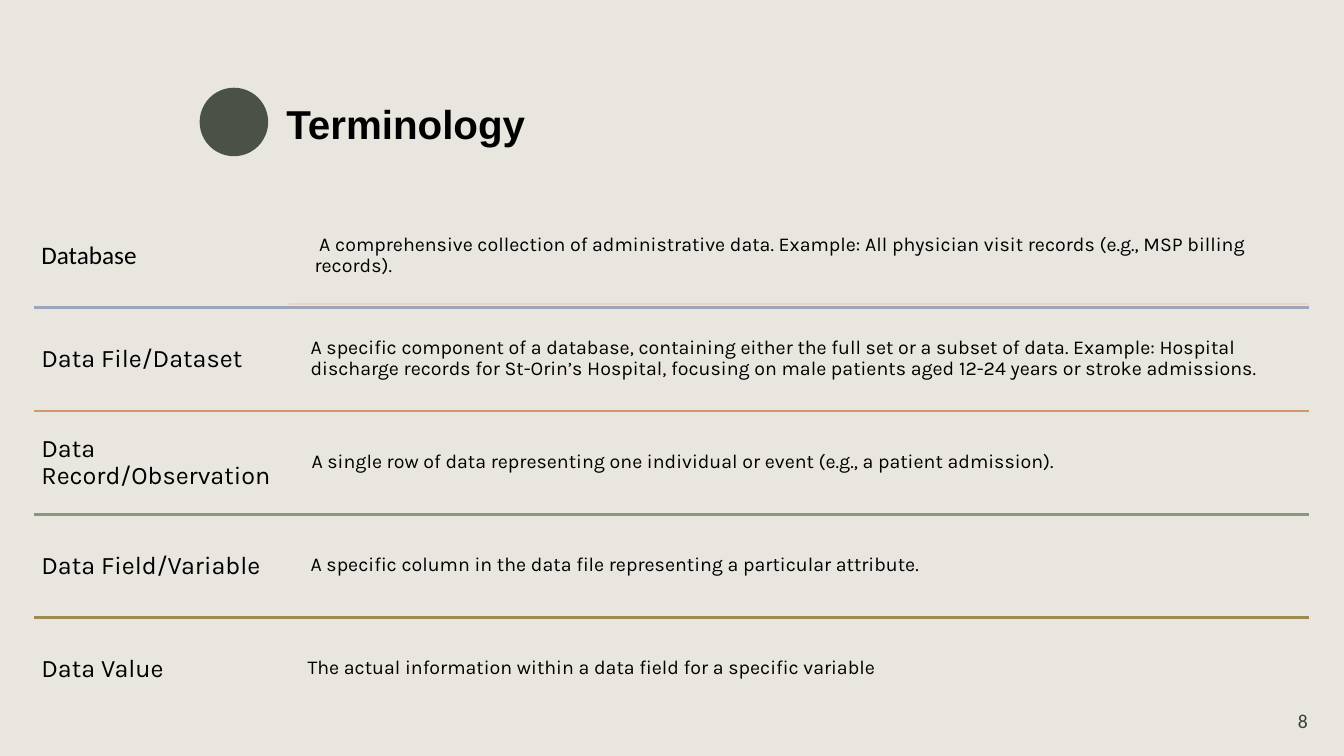
from collections import namedtuple

from lxml.etree import SubElement
from pptx import Presentation
from pptx.dml.color import RGBColor
from pptx.enum.shapes import MSO_CONNECTOR as Connector, MSO_SHAPE as Preset
from pptx.enum.text import MSO_ANCHOR as Anchor, MSO_AUTO_SIZE as AutoSize, PP_ALIGN as Align
from pptx.oxml.ns import qn
from pptx.util import Inches, Pt

Box = namedtuple("Box", "left top width height")
Term = namedtuple("Term", "name meaning font offset rule")

TERMS = [
    Term("Database",
         " A comprehensive collection of administrative data. Example: All physician visit "
         "records (e.g., MSP billing records).", "Calibri", 2.72, "9BA6BB"),
    Term("Data File/Dataset",
         "A specific component of a database, containing either the full set or a subset of data. "
         "Example: Hospital discharge records for St-Orin’s Hospital, focusing on male patients "
         "aged 12-24 years or stroke admissions.", "Karla", 2.68, "D5966B"),
    Term("Data Record/Observation",
         "A single row of data representing one individual or event (e.g., a patient admission).",
         "Karla", 2.69, "869880"),
    Term("Data Field/Variable",
         "A specific column in the data file representing a particular attribute.",
         "Karla", 2.68, "9E8B50"),
    Term("Data Value",
         "The actual information within a data field for a specific variable",
         "Karla", 2.65, None),
]


def color(value):
    """Turn a hex string into a colour."""
    return RGBColor.from_string(value)


def place(box):
    """Turn a box in inches into lengths."""
    return [Inches(length) for length in box]


def write(shape, text, size, font="Karla", ink="000000", bold=False, align=Align.LEFT,
          anchor=Anchor.MIDDLE, inset=(0.1, 0.05), spacing=1.0):
    """Put one formatted paragraph into a shape."""
    frame = shape.text_frame
    frame.word_wrap = True
    frame.auto_size = AutoSize.NONE
    frame.vertical_anchor = anchor
    frame.margin_left = frame.margin_right = Inches(inset[0])
    frame.margin_top = frame.margin_bottom = Inches(inset[1])
    para = frame.paragraphs[0]
    para.alignment = align
    para.line_spacing = spacing
    span = para.add_run()
    span.text = text
    span.font.name = font
    span.font.size = Pt(size)
    span.font.bold = bold
    span.font.color.rgb = color(ink)


def add_rule(page, left, right, y, ink, weight=2):
    """Draw a horizontal rule."""
    rule = page.shapes.add_connector(
        Connector.STRAIGHT, Inches(left), Inches(y), Inches(right), Inches(y))
    rule.line.color.rgb = color(ink)
    rule.line.width = Pt(weight)
    SubElement(rule.element.spPr, qn("a:effectLst"))


def add_heading(page, box):
    """Place the round marker and the title beside it."""
    marker = page.shapes.add_shape(
        Preset.OVAL, *place((box.left, box.top, 0.68, 0.68)))
    marker.shadow.inherit = False
    marker.fill.solid()
    marker.fill.fore_color.rgb = color("4A5248")
    marker.line.fill.background()
    title = page.shapes.title
    title.left, title.top, title.width, title.height = place(
        (box.left + 0.76, box.top + 0.02, box.width - 0.76, 0.62))
    write(title, "Terminology", 28.8, font="Arial", bold=True, anchor=Anchor.BOTTOM)


def add_term(page, box, term):
    """Place one term, its meaning and the rule below them."""
    name = page.shapes.add_textbox(*place((box.left, box.top, 2.52, box.height)))
    write(name, term.name, 18, font=term.font, inset=(0.07, 0.07), spacing=0.9)
    meaning = page.shapes.add_textbox(
        *place((box.left + term.offset, box.top + 0.04, 9.92, box.height - 0.09)))
    write(meaning, term.meaning, 14, inset=(0.06, 0.06), spacing=0.9)
    if term.rule:
        add_rule(page, box.left, box.left + box.width, box.top + box.height, term.rule)


def add_glossary(page, box):
    """Stack the terms in rows of equal height."""
    row_height = box.height / len(TERMS)
    add_rule(page, box.left + 2.53, box.left + box.width,
             box.top + row_height - 0.04, "EBD3C7", 1.5)
    for index, term in enumerate(TERMS):
        row = Box(box.left, box.top + index * row_height, box.width, row_height)
        add_term(page, row, term)


def add_page_number(page, box):
    """Place the page number."""
    number = page.shapes.add_textbox(*place(box))
    write(number, "8", 14, font="Calibri", ink="35403A", align=Align.RIGHT)


def main():
    """Build and save the deck."""
    deck = Presentation()
    deck.slide_width, deck.slide_height = Inches(13.33), Inches(7.5)
    page = deck.slides.add_slide(deck.slide_layouts[5])
    page.background.fill.solid()
    page.background.fill.fore_color.rgb = color("E9E6DF")
    add_heading(page, Box(1.98, 0.87, 9.98, 0.68))
    add_glossary(page, Box(0.34, 2.03, 12.64, 5.12))
    add_page_number(page, Box(12.5, 6.95, 0.57, 0.4))
    deck.save("out.pptx")


if __name__ == "__main__":
    main()
